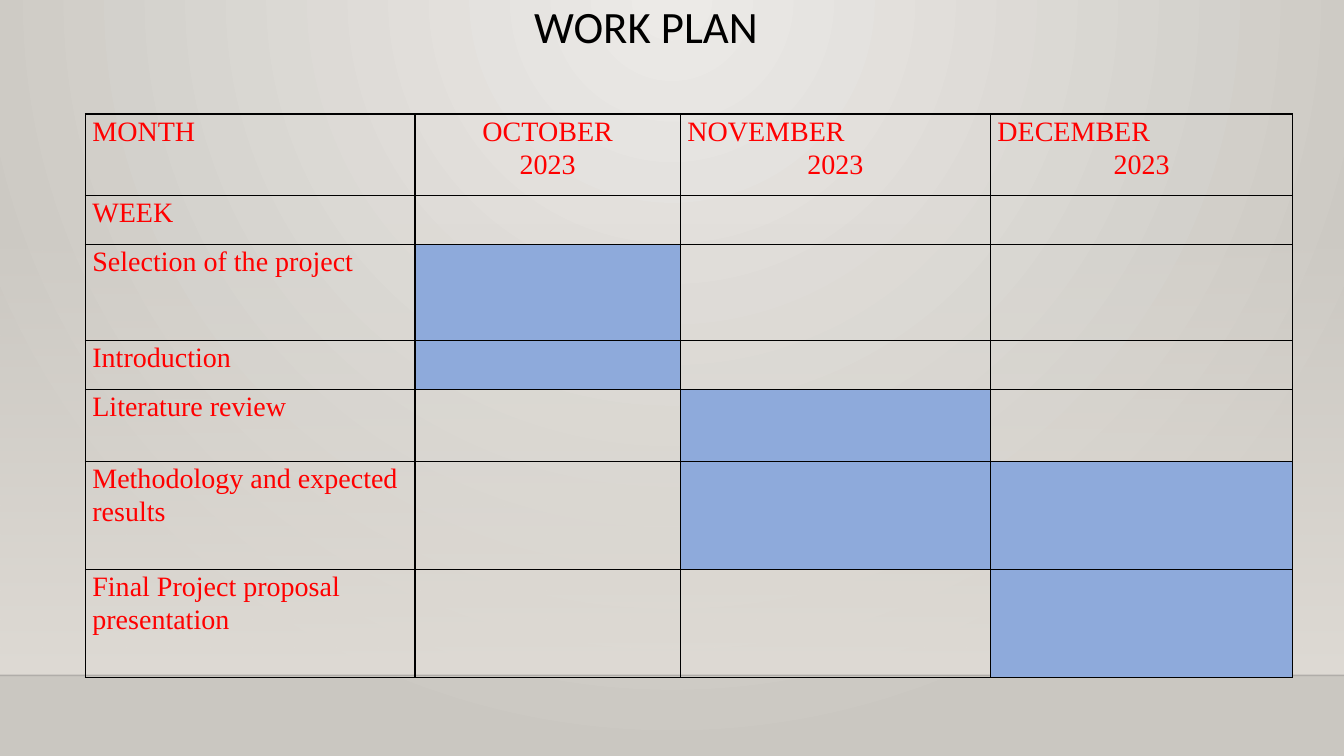
from dataclasses import dataclass

from pptx import Presentation
from pptx.dml.color import RGBColor
from pptx.enum import text as t
from pptx.enum import shapes as s
from pptx.oxml import parse_xml
from pptx.oxml.ns import nsdecls
from pptx.util import Pt


@dataclass(frozen=True)
class Theme:
    """Colours, fonts and type sizes of the slide."""
    light: str = "ECEAE7"
    dark: str = "CAC7C1"
    wall: str = "DFDBD5"
    edge: str = "000001"
    ink: str = "000000"
    label: str = "FF0000"
    done: str = "8EAADB"
    head: str = "Calibri"
    body: str = "Times New Roman"
    big: int = 32
    small: int = 20


LOOK = Theme()
WIDE, HIGH = 960, 540
FLOOR = 482.4
COLS = [235.5, 189.5, 221.5, 216]
ROWS = [58, 35, 68.5, 35, 51.5, 77.25, 77.25]
MONTHS = ["OCTOBER", "NOVEMBER", "DECEMBER"]
YEAR = "2023"
TASKS = [
    ("WEEK", []),
    ("Selection of the project", [1]),
    ("Introduction", [1]),
    ("Literature review", [2]),
    ("Methodology and expected results", [2, 3]),
    ("Final Project proposal presentation", [3]),
]


def make(xml):
    """Build a drawing element from text that has one {ns} slot."""
    return parse_xml(xml.replace("{ns}", nsdecls("a", "p")))


def blend(first, last, clear, way):
    """Return a two-stop gradient fill."""
    alpha = '<a:alpha val="0"/>' if clear else ""
    return make(
        f'<a:gradFill {{ns}} rotWithShape="1"><a:gsLst>'
        f'<a:gs pos="0"><a:srgbClr val="{first}">{alpha}</a:srgbClr></a:gs>'
        f'<a:gs pos="100000"><a:srgbClr val="{last}"/></a:gs>'
        f'</a:gsLst>{way}</a:gradFill>')


def swap(props, fill):
    """Put a gradient in the place of the solid fill."""
    props.replace(props.find(fill.tag.replace("gradFill", "solidFill")), fill)


def style(para, font, size, color, align, space):
    """Format a paragraph and its runs."""
    para.alignment = align
    para.line_spacing = space
    for run in para.runs:
        run.font.name = font
        run.font.size = Pt(size)
        run.font.color.rgb = RGBColor.from_string(color)


def draw_room(slide, wide, floor):
    """Draw the backdrop: glow, wall and floor line."""
    back = slide.background.fill
    back.solid()
    back.fore_color.rgb = RGBColor.from_string(LOOK.light)
    glow = ('<a:path path="circle">'
            '<a:fillToRect l="43000" t="0" r="43000" b="100000"/></a:path>')
    props = slide.element.cSld.bg.bgPr
    swap(props, blend(LOOK.light, LOOK.dark, False, glow))

    tall = 323.3
    wall = slide.shapes.add_shape(
        s.MSO_SHAPE.RECTANGLE, 0, Pt(floor - tall), Pt(wide), Pt(tall))
    wall.shadow.inherit = False
    wall.line.fill.background()
    wall.fill.solid()
    down = '<a:lin ang="5400000" scaled="0"/>'
    swap(wall.element.spPr, blend(LOOK.wall, LOOK.wall, True, down))

    line = slide.shapes.add_connector(
        s.MSO_CONNECTOR.STRAIGHT, 0, Pt(floor), Pt(wide), Pt(floor))
    line.line.width = Pt(1)
    line.line.color.rgb = RGBColor.from_string(LOOK.edge)
    tint = line.element.spPr.xpath(".//a:srgbClr")[0]
    tint.append(make('<a:alpha {ns} val="20000"/>'))
    line.element.spPr.append(make('<a:effectLst {ns}/>'))


def draw_title(slide, left, top, wide, high):
    """Place the slide title in its box."""
    title = slide.shapes.title
    title.left, title.top = Pt(left), Pt(top)
    title.width, title.height = Pt(wide), Pt(high)
    frame = title.text_frame
    frame.text = "WORK PLAN"
    frame.word_wrap = True
    frame.vertical_anchor = t.MSO_ANCHOR.TOP
    style(frame.paragraphs[0], LOOK.head, LOOK.big, LOOK.ink,
          t.PP_ALIGN.CENTER, 0.9)


def dress(cell, fill):
    """Set the margins, borders and fill of a cell."""
    cell.margin_left = cell.margin_right = Pt(5)
    cell.margin_top = cell.margin_bottom = 0
    props = cell._tc.get_or_add_tcPr()
    for side in ("lnL", "lnR", "lnT", "lnB"):
        props.append(make(
            f'<a:{side} {{ns}} w="12700"><a:solidFill>'
            f'<a:srgbClr val="{LOOK.ink}"/></a:solidFill></a:{side}>'))
    if fill:
        cell.fill.solid()
        cell.fill.fore_color.rgb = RGBColor.from_string(fill)
    else:
        cell.fill.background()


def write(cell, words, aligns):
    """Write one line of words per alignment in a cell."""
    cell.text_frame.text = words
    for para, align in zip(cell.text_frame.paragraphs, aligns):
        style(para, LOOK.body, LOOK.small, LOOK.label, align, 1.07)


def draw_plan(slide, left, top):
    """Draw the table of tasks against months."""
    frame = slide.shapes.add_table(
        len(ROWS), len(COLS), Pt(left), Pt(top), Pt(sum(COLS)), Pt(sum(ROWS)))
    plan = frame.table
    plan.first_row = plan.horz_banding = False
    for col, wide in zip(plan.columns, COLS):
        col.width = Pt(wide)
    for row, high in zip(plan.rows, ROWS):
        row.height = Pt(high)

    start, mid = t.PP_ALIGN.LEFT, t.PP_ALIGN.CENTER
    for row, (name, busy) in enumerate([("MONTH", [])] + TASKS):
        for col in range(len(COLS)):
            dress(plan.cell(row, col), LOOK.done if col in busy else None)
        write(plan.cell(row, 0), name, [start])
    for col, month in enumerate(MONTHS, 1):
        first = mid if col == 1 else start
        write(plan.cell(0, col), f"{month}\n{YEAR}", [first, mid])


def main():
    """Build the work plan slide and save it."""
    deck = Presentation()
    deck.slide_width, deck.slide_height = Pt(WIDE), Pt(HIGH)
    slide = deck.slides.add_slide(deck.slide_layouts[5])
    draw_room(slide, WIDE, FLOOR)
    draw_title(slide, 83.5, 0, 756, 98)
    draw_plan(slide, 61, 81.5)
    deck.save("out.pptx")


if __name__ == "__main__":
    main()
